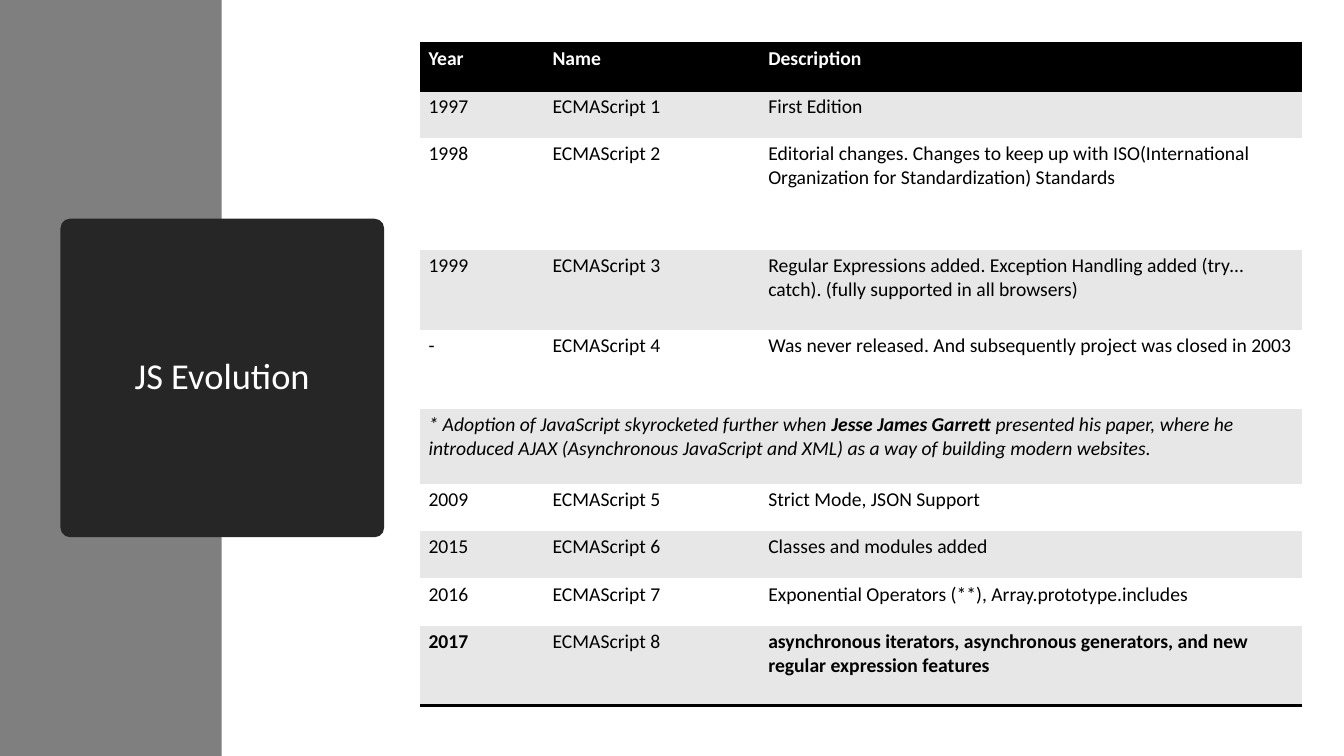
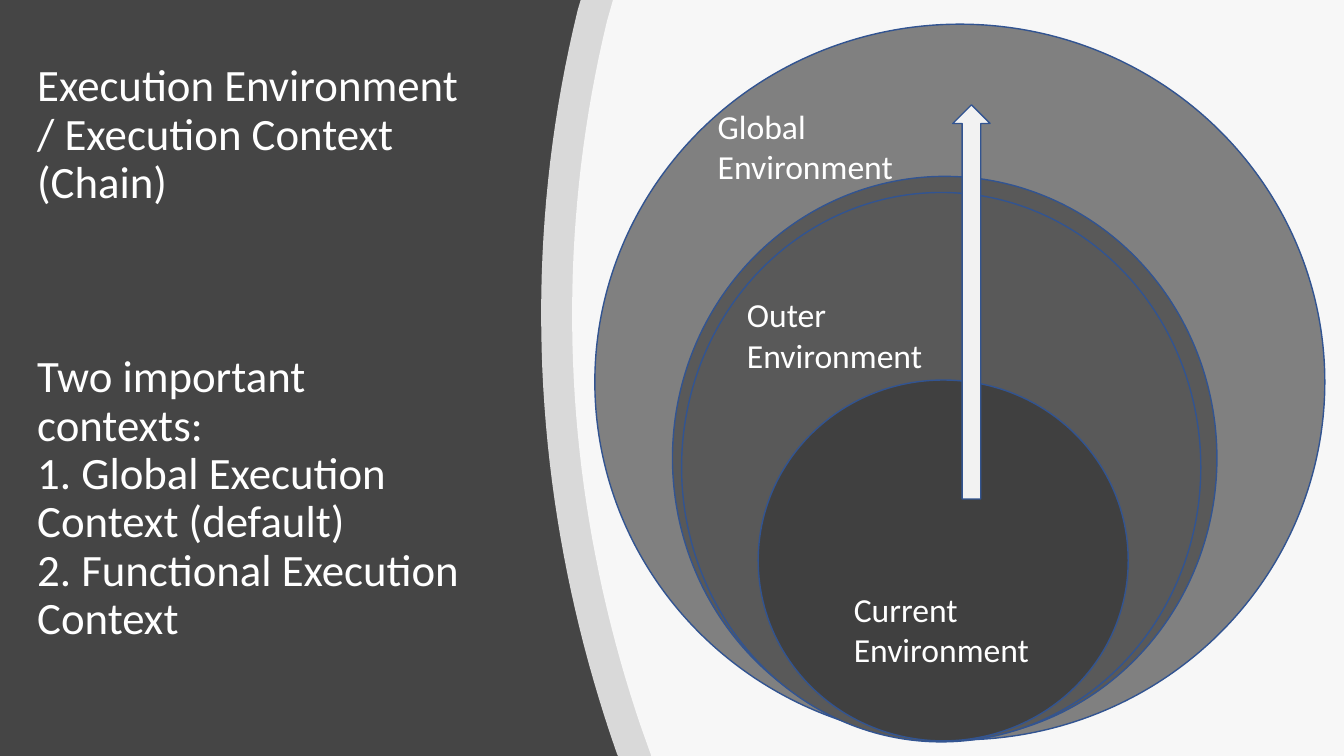
from dataclasses import dataclass

from lxml import etree
from pptx import Presentation
from pptx import util as u
from pptx.dml.color import RGBColor
from pptx.enum import shapes, text
from pptx.oxml import ns

FONT = "Calibri"
WHITE = RGBColor(0xFF, 0xFF, 0xFF)
BLACK = RGBColor(0x00, 0x00, 0x00)
BAND_GRAY = RGBColor(0x7F, 0x7F, 0x7F)
PANEL_DARK = RGBColor(0x26, 0x26, 0x26)
ROW_GRAY = RGBColor(0xE7, 0xE7, 0xE7)
PAGE_DARK = RGBColor(0x45, 0x45, 0x45)
GLOBAL_GRAY = RGBColor(0x80, 0x80, 0x80)
OUTER_GRAY = RGBColor(0x59, 0x59, 0x59)
CURRENT_GRAY = RGBColor(0x40, 0x40, 0x40)
ARROW_GRAY = RGBColor(0xF2, 0xF2, 0xF2)
OUTLINE_BLUE = RGBColor(0x32, 0x54, 0x91)

NO_TABLE_STYLE = "{2D5ABB26-0587-4C30-8999-92F81FD0307C}"
COLUMN_WIDTHS = (1.23, 2.14, 5.37)
VERSIONS = (
    (0.47, ("Year", "Name", "Description")),
    (0.47, ("1997", "ECMAScript 1", "First Edition")),
    (1.11, ("1998", "ECMAScript 2",
            "Editorial changes. Changes to keep up with ISO(International "
            "Organization for Standardization) Standards")),
    (0.79, ("1999", "ECMAScript 3",
            "Regular Expressions added. Exception Handling added (try… catch). "
            "(fully supported in all browsers)")),
    (0.79, ("-", "ECMAScript 4",
            "Was never released. And subsequently project was closed in 2003")),
    (0.74, (("* Adoption of JavaScript skyrocketed further when ",
             "Jesse James Garrett",
             " presented his paper, where he introduced AJAX (Asynchronous "
             "JavaScript and XML) as a way of building modern websites."),)),
    (0.47, ("2009", "ECMAScript 5", "Strict Mode, JSON Support")),
    (0.47, ("2015", "ECMAScript 6", "Classes and modules added")),
    (0.47, ("2016", "ECMAScript 7",
            "Exponential Operators (**), Array.prototype.includes")),
    (0.79, ("2017", "ECMAScript 8",
            "asynchronous iterators, asynchronous generators, and new regular "
            "expression features")),
)

CURVES = (
    ((0.76, 7.5), ((0.75, 7.48), (-0.07, 5.14), (-0.25, 2.6), (0.36, 0.1)), (0.39, 0)),
    ((1.09, 7.5), ((0.99, 7.22), (0.23, 4.99), (0.08, 2.58), (0.65, 0.21)), (0.71, 0)),
)


@dataclass
class Box:
    left: float
    top: float
    width: float
    height: float

    def inner(self, left, top, width, height):
        return Box(self.left + left, self.top + top, width, height)

    def lengths(self):
        return [u.Inches(n) for n in (self.left, self.top, self.width, self.height)]


def style_font(font, size, color, bold=False, italic=False):
    font.name, font.size, font.bold, font.italic = FONT, u.Pt(size), bold, italic
    font.color.rgb = color


def add_preset(page, kind, box, fill, line=None):
    shape = page.shapes.add_shape(kind, *box.lengths())
    shape.shadow.inherit = False
    shape.fill.solid()
    shape.fill.fore_color.rgb = fill
    if line is None:
        shape.line.fill.background()
    else:
        shape.line.color.rgb = line
        shape.line.width = u.Pt(1)
    return shape


def write_text(frame, lines, size, spacing=1.0, align=text.PP_ALIGN.LEFT):
    frame.word_wrap = True
    for index, line in enumerate(lines):
        para = frame.paragraphs[0] if index == 0 else frame.add_paragraph()
        para.text = line
        para.alignment = align
        para.line_spacing = spacing
        style_font(para.font, size, WHITE)


def write_title(frame, lines, size, align=text.PP_ALIGN.LEFT):
    frame.vertical_anchor = text.MSO_ANCHOR.MIDDLE
    write_text(frame, lines, size, 0.9, align)


def add_page(deck, color):
    page = deck.slides.add_slide(deck.slide_layouts[6])
    page.background.fill.solid()
    page.background.fill.fore_color.rgb = color
    return page


def draw_title_panel(page, box):
    add_preset(page, shapes.MSO_SHAPE.RECTANGLE, box, BAND_GRAY)
    panel = add_preset(page, shapes.MSO_SHAPE.ROUNDED_RECTANGLE,
                       box.inner(0.6, 2.17, 3.21, 3.16), PANEL_DARK)
    panel.adjustments[0] = 0.03
    write_title(panel.text_frame, ["JS Evolution"], 26, text.PP_ALIGN.CENTER)


def add_border(cell, side):
    line = etree.Element(ns.qn(f"a:{side}"), w=str(u.Pt(2)))
    fill = etree.SubElement(line, ns.qn("a:solidFill"))
    etree.SubElement(fill, ns.qn("a:srgbClr"), val=str(BLACK))
    cell._tc.get_or_add_tcPr().insert(0, line)


def fill_cell(cell, content, row, column):
    header, last = row == 0, row == len(VERSIONS) - 1
    note = isinstance(content, tuple)
    cell.margin_left = cell.margin_right = u.Inches(0.08)
    cell.margin_top = cell.margin_bottom = u.Inches(0.04)
    cell.fill.solid()
    cell.fill.fore_color.rgb = BLACK if header else ROW_GRAY if row % 2 else WHITE
    if header or last:
        add_border(cell, "lnB")
    if header:
        add_border(cell, "lnT")
    para = cell.text_frame.paragraphs[0]
    style_font(para.font, 14, WHITE if header else BLACK,
               header or (last and column != 1), note)
    for index, words in enumerate(content if note else (content,)):
        span = para.add_run()
        span.text = words
        if note:
            span.font.bold = index == 1


def draw_version_table(page, box):
    table = page.shapes.add_table(len(VERSIONS), len(COLUMN_WIDTHS),
                                  *box.lengths()).table
    table.first_row = table.horz_banding = False
    table._tbl.tblPr.find(ns.qn("a:tableStyleId")).text = NO_TABLE_STYLE
    for column, width in zip(table.columns, COLUMN_WIDTHS):
        column.width = u.Inches(width)
    for row, (height, contents) in enumerate(VERSIONS):
        table.rows[row].height = u.Inches(height)
        if len(contents) == 1:
            table.cell(row, 0).merge(table.cell(row, len(COLUMN_WIDTHS) - 1))
        for column, content in enumerate(contents):
            fill_cell(table.cell(row, column), content, row, column)


def curve_points(controls, steps=40):
    for step in range(steps + 1):
        t = step / steps
        weights = ((1 - t) ** 3, 3 * t * (1 - t) ** 2, 3 * t * t * (1 - t), t ** 3)
        yield tuple(sum(w * point[axis] for w, point in zip(weights, controls))
                    for axis in (0, 1))


def draw_curved_panels(page, box):
    for bottom, controls, top in CURVES:
        outline = [(box.width, 0), (box.width, box.height), bottom,
                   *curve_points(controls), top]
        points = [(u.Inches(box.left + x), u.Inches(box.top + y)) for x, y in outline]
        builder = page.shapes.build_freeform(*points[0], scale=1.0)
        builder.add_line_segments(points[1:], close=True)
        panel = builder.convert_to_shape()
        panel.shadow.inherit = False
        panel.line.fill.background()
        panel.fill.solid()
        panel.fill.fore_color.rgb = WHITE
        color = panel._element.spPr.find(ns.qn("a:solidFill"))[0]
        etree.SubElement(color, ns.qn("a:alpha"), val="80000")


def draw_context_title(page, box):
    frame = page.shapes.add_textbox(*box.lengths()).text_frame
    frame.margin_bottom = u.Inches(0.53)
    write_title(frame, ["Execution Environment / Execution Context (Chain)",
                        "Two important contexts:",
                        "1. Global Execution Context (default)",
                        "2. Functional Execution Context"], 32)
    frame.paragraphs[0].space_after = u.Pt(104)


def draw_environment_rings(page, box):
    rings = (
        ((0, 0, 7.24, 7.1), GLOBAL_GRAY),
        ((0.77, 1.51, 5.4, 5.59), OUTER_GRAY),
        ((0.86, 1.67, 5.15, 5.45), OUTER_GRAY),
        ((1.62, 3.53, 3.67, 3.58), CURRENT_GRAY),
    )
    labels = (
        ("Global Environment", 1.12, 0.76, 1.97),
        ("Outer Environment", 1.41, 2.63, 2.19),
        ("Current Environment", 2.47, 5.55, 2.14),
    )
    for place, color in rings:
        add_preset(page, shapes.MSO_SHAPE.OVAL, box.inner(*place), color, OUTLINE_BLUE)
    for words, left, top, width in labels:
        label = page.shapes.add_textbox(*box.inner(left, top, width, 0.91).lengths())
        write_text(label.text_frame, [words], 24)
    add_preset(page, shapes.MSO_SHAPE.UP_ARROW, box.inner(3.55, 0.8, 0.37, 3.91),
               ARROW_GRAY, OUTLINE_BLUE)


def build_evolution_page(deck):
    page = add_page(deck, WHITE)
    draw_title_panel(page, Box(0, 0, 2.2, 7.5))
    draw_version_table(page, Box(4.17, 0.43, 8.74, 6.57))


def build_context_page(deck):
    page = add_page(deck, PAGE_DARK)
    draw_context_title(page, Box(0.27, 0.41, 4.42, 6.68))
    draw_curved_panels(page, Box(5.37, 0, 7.96, 7.5))
    draw_environment_rings(page, Box(5.9, 0.24, 7.24, 7.12))


def main():
    deck = Presentation()
    deck.slide_width, deck.slide_height = u.Inches(13.33), u.Inches(7.5)
    build_evolution_page(deck)
    build_context_page(deck)
    deck.save("out.pptx")


if __name__ == "__main__":
    main()
